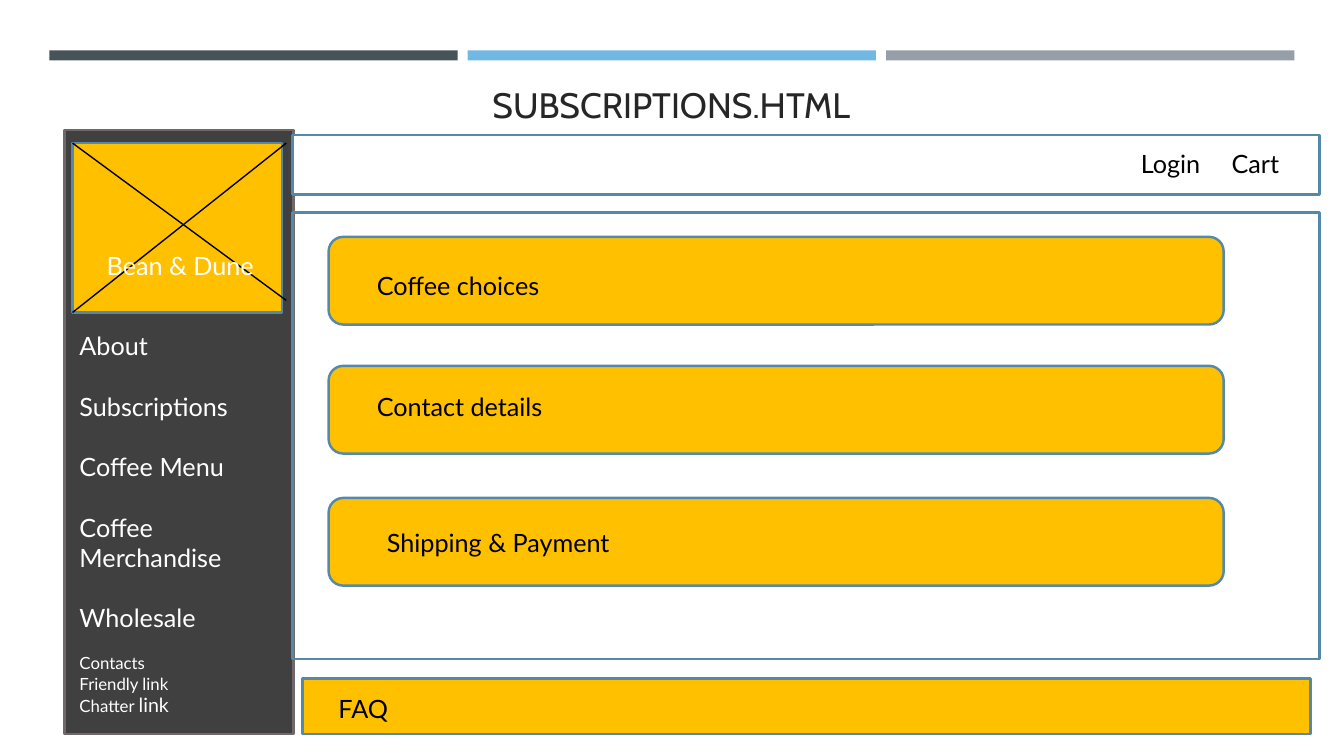
from pptx import Presentation
from pptx import util as u
from pptx.dml.color import RGBColor
from pptx.enum import shapes, text
from pptx.oxml import parse_xml
from pptx.oxml.ns import nsdecls

CELL = u.Inches(0.1)
COLUMNS, ROWS = 133.33, 75

WHITE = RGBColor(0xFF, 0xFF, 0xFF)
BLACK = RGBColor(0x00, 0x00, 0x00)
TITLE_GREY = RGBColor(0x26, 0x26, 0x26)
SLATE = RGBColor(0x46, 0x53, 0x59)
SKY = RGBColor(0x71, 0xB9, 0xE4)
SILVER = RGBColor(0x96, 0x9F, 0xA7)
CHARCOAL = RGBColor(0x40, 0x40, 0x40)
SIDEBAR_EDGE = RGBColor(0x6F, 0x68, 0x68)
BLUE = RGBColor(0x54, 0x89, 0xA9)
AMBER = RGBColor(0xFF, 0xC0, 0x00)

MENU = ["About", "Subscriptions", "Coffee Menu", "Coffee Merchandise", "Wholesale"]
FORM_SECTIONS = [
    ("Coffee choices", 23.5, 36.4, 26.3),
    ("Contact details", 36.3, 36.4, 38.3),
    ("Shipping & Payment", 49.4, 37.4, 51.8),
]


def cells(*counts):
    return [round(count * CELL) for count in counts]


def add_panel(slide, area, fill=None, edge=None, kind=shapes.MSO_SHAPE.RECTANGLE):
    panel = slide.shapes.add_shape(kind, *cells(*area))
    panel.shadow.inherit = False
    if fill is None:
        panel.fill.background()
    else:
        panel.fill.solid()
        panel.fill.fore_color.rgb = fill
    if edge is None:
        panel.line.fill.background()
    else:
        panel.line.color.rgb = edge
        panel.line.width = u.Pt(1.75)
    return panel


def add_stroke(slide, *ends):
    stroke = slide.shapes.add_connector(shapes.MSO_CONNECTOR.STRAIGHT, *cells(*ends))
    stroke.line.color.rgb = BLACK
    stroke.line.width = u.Pt(1)
    stroke._element.spPr.append(parse_xml(f"<a:effectLst {nsdecls('a')}/>"))


def add_frame(slide, area):
    frame = slide.shapes.add_textbox(*cells(*area)).text_frame
    frame.word_wrap = True
    return frame


def style(paragraph, color, size=18, family="Lato"):
    paragraph.font.size = u.Pt(size)
    paragraph.font.name = family
    paragraph.font.color.rgb = color


def add_label(slide, words, area, color=BLACK):
    label = add_frame(slide, area).paragraphs[0]
    label.text = words
    style(label, color)


def add_title(slide):
    for index, color in enumerate([SLATE, SKY, SILVER]):
        add_panel(slide, (4.9 + 41.5 * index, 5, 40.5, 1), color)
    frame = add_frame(slide, (6.3, 7.7, 120.6, 5.2))
    frame.vertical_anchor = text.MSO_ANCHOR.BOTTOM
    title = frame.paragraphs[0]
    title.text = "SUBSCRIPTIONS.HTML"
    title.alignment = text.PP_ALIGN.CENTER
    style(title, TITLE_GREY, 25.2, "Cabin")


def add_logo_box(slide):
    add_panel(slide, (7.2, 14.2, 20.8, 16.8), AMBER, BLUE)
    add_stroke(slide, 7.2, 31, 28.4, 14.2)
    add_stroke(slide, 7.2, 14.2, 28.4, 29.8)
    add_label(slide, "Bean & Dune", (9.6, 24.3, 17.8, 4), WHITE)


def add_menu(slide):
    frame = add_frame(slide, (6.9, 32.3, 21.5, 40.4))
    entries = [(item, 18, 21.6) for item in MENU]
    entries += [("Contacts", 12, 14.4), ("Friendly link", 12, 0), ("Chatter ", 12, 0)]
    for index, (words, size, gap) in enumerate(entries):
        entry = frame.add_paragraph() if index else frame.paragraphs[0]
        entry.text = words
        entry.space_before = u.Pt(gap if index else 0)
        style(entry, WHITE, size)
    link = entry.add_run()
    link.text = "link"
    link.font.size = u.Pt(14)


def add_form(slide):
    for words, top, label_left, label_top in FORM_SECTIONS:
        add_panel(slide, (32.6, top, 88.8, 8.7), AMBER, BLUE,
                  shapes.MSO_SHAPE.ROUNDED_RECTANGLE)
        add_label(slide, words, (label_left, label_top, 68, 4))


def main():
    deck = Presentation()
    deck.slide_width, deck.slide_height = cells(COLUMNS, ROWS)
    slide = deck.slides.add_slide(deck.slide_layouts[6])

    add_title(slide)
    add_panel(slide, (6.4, 12.9, 22.7, 59.9), CHARCOAL, SIDEBAR_EDGE)
    add_panel(slide, (29, 13.4, 101.9, 5.9), WHITE, BLUE)
    add_panel(slide, (29, 21.1, 101.9, 44.3), edge=BLUE)
    add_panel(slide, (30, 67.3, 100, 5.5), AMBER, BLUE)
    add_logo_box(slide)
    add_menu(slide)
    add_label(slide, "Login", (112.2, 14.2, 9, 4))
    add_label(slide, "Cart", (121.2, 14.2, 8, 4))
    add_form(slide)
    add_label(slide, "FAQ", (32.6, 68.3, 45.3, 4))

    deck.save("out.pptx")


if __name__ == "__main__":
    main()
